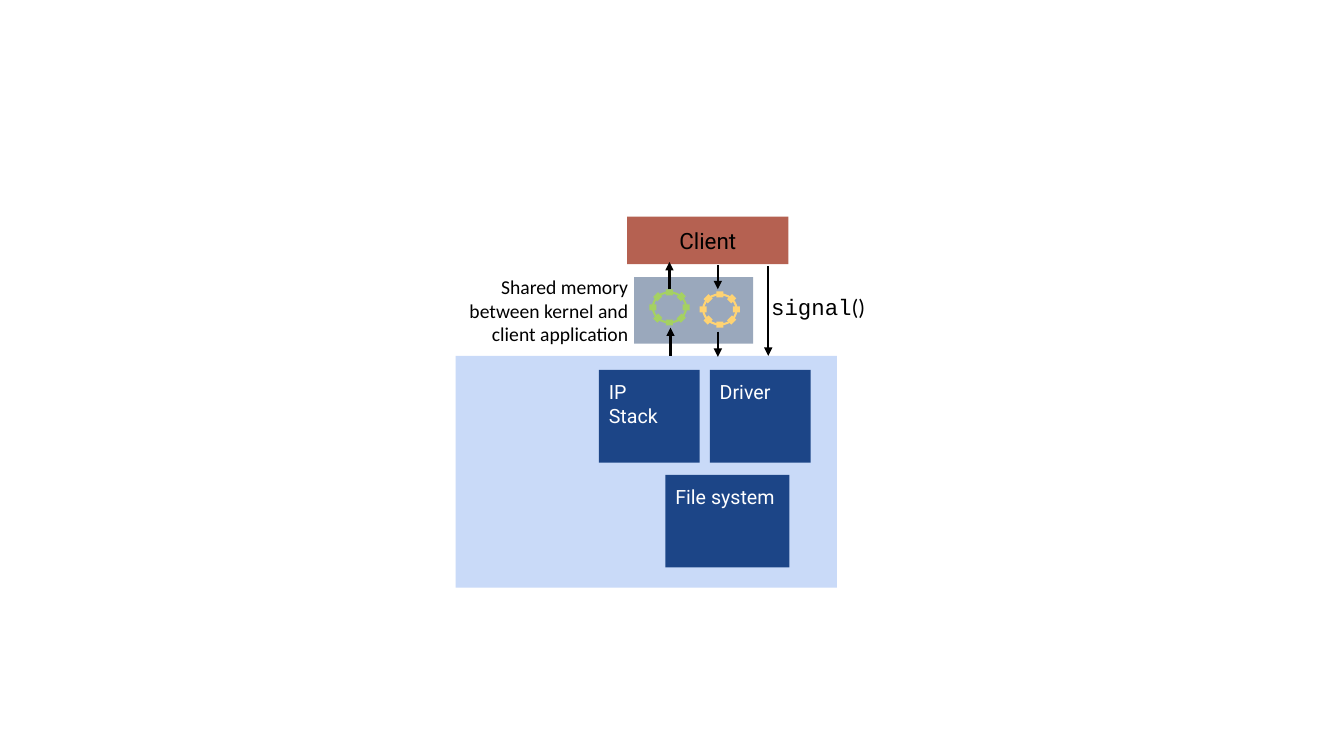
"""Draw a client exchanging ring-buffer messages with a kernel through shared memory."""
import math

from lxml import etree
from pptx import Presentation
from pptx import util as u
from pptx.dml.color import RGBColor
from pptx.enum import shapes, text
from pptx.oxml import ns

BLACK = RGBColor(0x00, 0x00, 0x00)
WHITE = RGBColor(0xFF, 0xFF, 0xFF)
KERNEL_BLUE = RGBColor(0xC9, 0xDA, 0xF8)
MODULE_BLUE = RGBColor(0x1C, 0x45, 0x87)
CLIENT_RED = RGBColor(0xB5, 0x61, 0x51)
MEMORY_GREY = RGBColor(0x9A, 0xA8, 0xBC)
RING_GREEN = RGBColor(0xA5, 0xD1, 0x62)
RING_YELLOW = RGBColor(0xFF, 0xD3, 0x72)


class Diagram:
    box_font = "Roboto"
    label_font = "Calibri"
    code_font = "Courier New"
    stroke = u.Pt(1.5)
    ring_radii = (0.165, 0.15)
    bead_size = (0.07, 0.06)
    bead_count = 8

    def __init__(self, slide):
        self.slide = slide

    def shape(self, kind, left, top, width, height, fill=None, line=None):
        shape = self.slide.shapes.add_shape(
            kind, u.Inches(left), u.Inches(top), u.Inches(width), u.Inches(height))
        shape.shadow.inherit = False
        if fill is None:
            shape.fill.background()
        else:
            shape.fill.solid()
            shape.fill.fore_color.rgb = fill
        if line is None:
            shape.line.fill.background()
        else:
            shape.line.color.rgb = line
            shape.line.width = self.stroke
        return shape

    def box(self, left, top, width, height, fill, lines=(), size=14,
            color=WHITE, align=text.PP_ALIGN.LEFT):
        shape = self.shape(shapes.MSO_SHAPE.RECTANGLE, left, top, width, height, fill)
        if not lines:
            return
        frame = shape.text_frame
        frame.vertical_anchor = text.MSO_ANCHOR.TOP
        frame.margin_left = frame.margin_right = u.Inches(0.1)
        frame.margin_top = frame.margin_bottom = u.Inches(0.1)
        frame.text = "\n".join(lines)
        for paragraph in frame.paragraphs:
            paragraph.alignment = align
            self.format(paragraph.font, self.box_font, size, color)

    def ring(self, center_x, center_y, color):
        radius_x, radius_y = self.ring_radii
        self.shape(shapes.MSO_SHAPE.OVAL, center_x - radius_x, center_y - radius_y,
                   2 * radius_x, 2 * radius_y, line=color)
        for index in range(self.bead_count):
            angle = 2 * math.pi * index / self.bead_count
            diagonal = index % 2 == 1
            width, height = self.bead_size[::-1] if diagonal else self.bead_size
            bead = self.shape(
                shapes.MSO_SHAPE.RECTANGLE,
                center_x + radius_x * math.cos(angle) - width / 2,
                center_y + radius_y * math.sin(angle) - height / 2,
                width, height, color)
            bead.rotation = 45 if diagonal else 0

    def arrow(self, x, start, end):
        connector = self.slide.shapes.add_connector(
            shapes.MSO_CONNECTOR.STRAIGHT,
            u.Inches(x), u.Inches(start), u.Inches(x), u.Inches(end))
        connector.line.color.rgb = BLACK
        connector.line.width = self.stroke
        etree.SubElement(connector.line._get_or_add_ln(), ns.qn("a:tailEnd"), type="triangle")
        etree.SubElement(connector._element.spPr, ns.qn("a:effectLst"))

    def label(self, left, top, width, height, runs, size, wrap, align):
        shape = self.slide.shapes.add_textbox(
            u.Inches(left), u.Inches(top), u.Inches(width), u.Inches(height))
        shape.text_frame.word_wrap = wrap
        paragraph = shape.text_frame.paragraphs[0]
        paragraph.alignment = align
        for wording, font_name in runs:
            run = paragraph.add_run()
            run.text = wording
            self.format(run.font, font_name, size, BLACK)

    def format(self, font, name, size, color):
        font.name = name
        font.size = u.Pt(size)
        font.color.rgb = color


def main():
    presentation = Presentation()
    presentation.slide_width = u.Inches(13.33)
    presentation.slide_height = u.Inches(7.5)
    diagram = Diagram(presentation.slides.add_slide(presentation.slide_layouts[6]))

    diagram.box(4.52, 3.53, 3.78, 2.3, KERNEL_BLUE)
    for left, top, width, lines in (
            (5.94, 3.67, 1, ("IP", "Stack")),
            (7.04, 3.67, 1, ("Driver",)),
            (6.6, 4.71, 1.23, ("File system",))):
        diagram.box(left, top, width, 0.92, MODULE_BLUE, lines)
    diagram.box(6.22, 2.15, 1.6, 0.47, CLIENT_RED, ("Client",), 16, BLACK,
                text.PP_ALIGN.CENTER)

    diagram.box(6.29, 2.75, 1.18, 0.66, MEMORY_GREY)
    diagram.ring(6.64, 3.05, RING_GREEN)
    diagram.ring(7.14, 3.07, RING_YELLOW)

    for x, start, end in (
            (7.12, 2.63, 2.87), (7.12, 3.29, 3.54),
            (6.65, 3.53, 3.25), (6.64, 2.87, 2.6),
            (7.62, 2.64, 3.53)):
        diagram.arrow(x, start, end)

    diagram.label(7.55, 2.86, 1.15, 0.37,
                  (("signal", diagram.code_font), ("()", diagram.label_font)),
                  16, False, text.PP_ALIGN.LEFT)
    diagram.label(4.24, 2.68, 2.09, 0.81,
                  (("Shared memory between kernel and client application",
                    diagram.label_font),),
                  14, True, text.PP_ALIGN.RIGHT)
    presentation.save("out.pptx")


if __name__ == "__main__":
    main()
